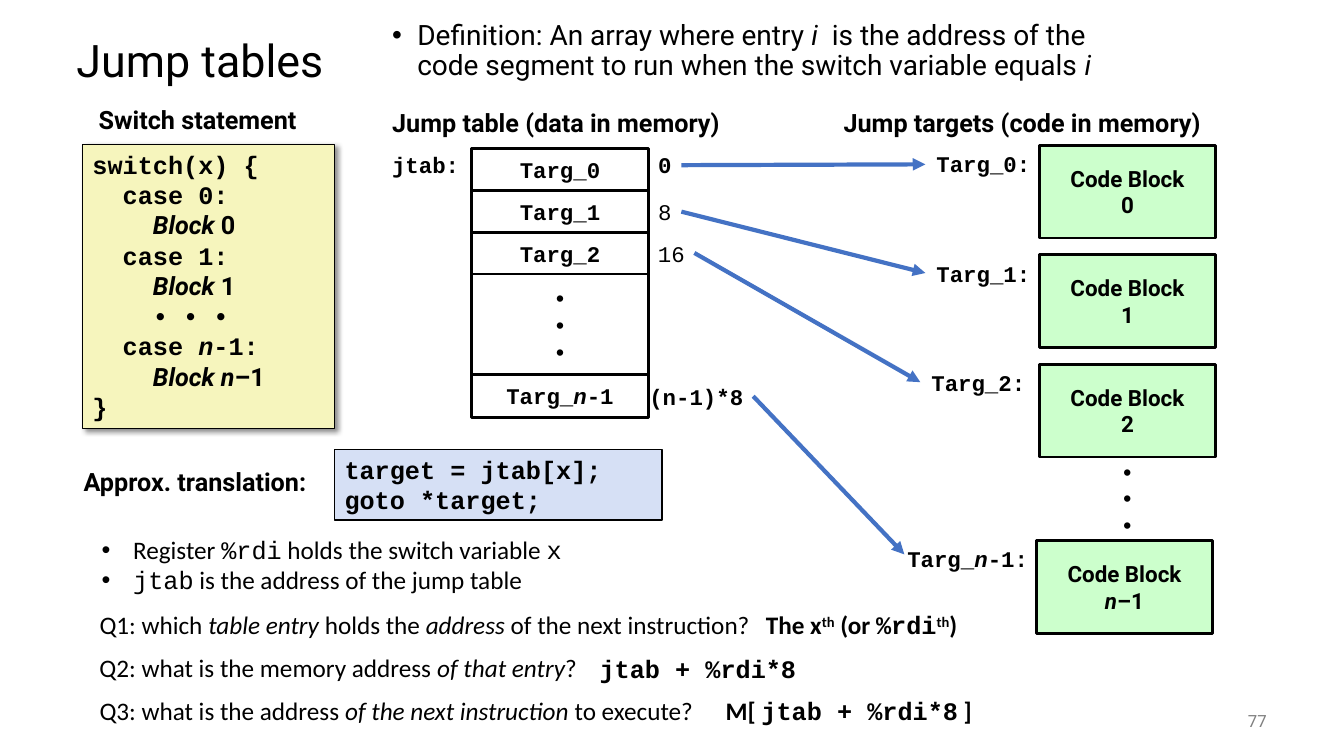
from dataclasses import dataclass
from functools import partial

from lxml import etree
from pptx import Presentation
from pptx.dml.color import RGBColor
from pptx.enum import shapes, text
from pptx.oxml import ns
from pptx.util import Pt


@dataclass(frozen=True)
class Theme:
    sans: str = "Roboto"
    body: str = "Calibri"
    code: str = "Courier New"
    ink: str = "000000"
    paper: str = "FFFFFF"
    grey: str = "808080"
    yellow: str = "F6F5BD"
    blue: str = "D6E0F5"
    green: str = "CCFFCC"
    arrow: str = "4472C4"
    title: int = 32
    lead: int = 20
    text: int = 18
    small: int = 16
    number: int = 12


@dataclass(frozen=True)
class Run:
    text: str
    font: str
    bold: bool = False
    italic: bool = False
    raised: bool = False


T = Theme()
sans = partial(Run, font=T.sans)
head = partial(Run, font=T.sans, bold=True)
body = partial(Run, font=T.body)
strong = partial(Run, font=T.body, bold=True)
mono = partial(Run, font=T.code)
code = partial(Run, font=T.code, bold=True)

LEFT, CENTER, RIGHT = (text.PP_ALIGN.LEFT, text.PP_ALIGN.CENTER, text.PP_ALIGN.RIGHT)
DOTS = [[code("•")]] * 3


def child(parent, tag, **attrs):
    return etree.SubElement(parent, ns.qn(tag), {k: str(v) for k, v in attrs.items()})


def write(sp, paras, size, align=LEFT, wrap=True, middle=False, color=T.ink,
          bullet=0, spacing=None):
    """Fill sp with paragraphs, each a list of Run; bullet is the hanging indent."""
    tf = sp.text_frame
    tf.word_wrap = wrap
    tf.vertical_anchor = text.MSO_ANCHOR.MIDDLE if middle else text.MSO_ANCHOR.TOP
    for i, runs in enumerate(paras):
        p = tf.paragraphs[0] if i == 0 else tf.add_paragraph()
        p.alignment = align
        if spacing:
            p.line_spacing = spacing
        if bullet:
            pPr = p._p.get_or_add_pPr()
            pPr.set("marL", str(Pt(bullet)))
            pPr.set("indent", str(-Pt(bullet)))
            child(pPr, "a:buFont", typeface="Arial")
            child(pPr, "a:buChar", char="•")
        for run in runs:
            r = p.add_run()
            r.text = run.text
            r.font.name, r.font.size = run.font, Pt(size)
            r.font.bold, r.font.italic = run.bold, run.italic
            r.font.color.rgb = RGBColor.from_string(color)
            if run.raised:
                r._r.get_or_add_rPr().set("baseline", "30000")


def text_box(s, x, y, w, h, paras, size, **style):
    sp = s.shapes.add_textbox(Pt(x), Pt(y), Pt(w), Pt(h))
    write(sp, paras, size, **style)


def label(s, x, y, w, runs, size=T.text, align=LEFT):
    """One unwrapped line whose box grows with its text."""
    sp = s.shapes.add_textbox(Pt(x), Pt(y), Pt(w), Pt(size * 1.6))
    write(sp, [runs], size, align=align, wrap=False)
    sp.text_frame.auto_size = text.MSO_AUTO_SIZE.SHAPE_TO_FIT_TEXT


def box(s, x, y, w, h, fill, line, paras, size, **style):
    sp = s.shapes.add_shape(shapes.MSO_SHAPE.RECTANGLE, Pt(x), Pt(y), Pt(w), Pt(h))
    sp.shadow.inherit = False
    sp.fill.solid()
    sp.fill.fore_color.rgb = RGBColor.from_string(fill)
    if line:
        sp.line.color.rgb = RGBColor.from_string(T.ink)
        sp.line.width = Pt(line)
    else:
        sp.line.fill.background()
    write(sp, paras, size, **style)
    return sp


def cast_shadow(sp):
    effects = sp._element.spPr.find(ns.qn("a:effectLst"))
    shadow = child(effects, "a:outerShdw", blurRad=Pt(4), dist=Pt(3),
                   dir=45 * 60000, algn="tl", rotWithShape=0)
    child(child(shadow, "a:srgbClr", val=T.ink), "a:alpha", val=43000)


def arrow(s, x1, y1, x2, y2):
    c = s.shapes.add_connector(shapes.MSO_CONNECTOR.STRAIGHT,
                               Pt(x1), Pt(y1), Pt(x2), Pt(y2))
    c.line.color.rgb = RGBColor.from_string(T.arrow)
    c.line.width = Pt(3)
    child(c.line._get_or_add_ln(), "a:tailEnd", type="triangle")
    child(c._element.spPr, "a:effectLst")


def switch_statement(s):
    def block(number, italic=False):
        name = "Block n" if italic else "Block"
        return [code("    "), head(name, italic=True), head(number)]

    sp = box(s, 59, 103, 180, 203, T.yellow, 1, [
        [code("switch(x) {")],
        [code("  case 0:")],
        block(" 0"),
        [code("  case 1:")],
        block(" 1"),
        [code("    •\u00a0•\u00a0•")],
        [code("  case "), code("n", italic=True), code("-1:")],
        block("–1", italic=True),
        [code("}")],
    ], T.text)
    cast_shadow(sp)
    label(s, 63.4, 71.3, 165, [head("Switch statement")])


def translation(s):
    box(s, 239, 321, 234, 50.5, T.blue, 1,
        [[code("target = jtab[x];")], [code("goto *target;")]], T.text)
    label(s, 52.6, 329.8, 187, [head("Approx. translation:")])
    text_box(s, 65.5, 378, 353, 51, [
        [body("Register "), mono("%rdi"), body(" holds the switch variable "), mono("x")],
        [mono("jtab"), body(" is the address of the jump table")],
    ], T.text, bullet=22.5)


def jump_table(s):
    left, top, width, row = 337, 105.8, 126, 30.2
    cell = partial(box, s, left, w=width, fill=T.paper, line=2, size=T.small,
                   align=CENTER, wrap=False, middle=True)
    last = [code("n", italic=True), code("-1")]
    entries = [(top + i * row, [code(str(i))]) for i in range(3)] + [(267.8, last)]
    for y, index in entries:
        cell(y=y, h=row, paras=[[code("Targ"), mono("_"), *index]])
    cell(y=195.8, h=72, paras=DOTS)
    label(s, 273, 104.4, 63.5, [code("jtab:")], T.small)
    label(s, 273, 73.4, 262, [head("Jump table (data in memory)")])
    label(s, 463, 104.4, 24.5, [code("0")], T.small)
    label(s, 463, 138.2, 24.5, [mono("8")], T.small)
    label(s, 462.2, 167.8, 34, [mono("16")], T.small, RIGHT)
    label(s, 455, 270, 83, [code("(n-1)*8")], T.small, RIGHT)


def jump_targets(s):
    width, height, step, top = 126, 66.4, 78.2, 103.7
    target = partial(box, s, w=width, size=T.small, align=CENTER,
                     wrap=False, middle=True)
    target(x=742.3, y=319.7, h=72, fill=T.paper, line=0, paras=DOTS)
    last = [head("n", italic=True), head("–1")]
    blocks = [(742.3, top + i * step, [head(str(i))]) for i in range(3)]
    for x, y, index in blocks + [(740.2, 386, last)]:
        target(x=x, y=y, h=height, fill=T.green, line=2,
               paras=[[head("Code Block")], index])
    for i, x in enumerate((661, 661, 657.4)):
        label(s, x, top + i * step, 82, [code(f"Targ_{i}:")], T.small, RIGHT)
    label(s, 639.4, 386, 102, [code("Targ_"), code("n", italic=True), code("-1:")],
          T.small, RIGHT)
    label(s, 595.5, 73.4, 285, [head("Jump targets (code in memory)")])


def questions(s):
    label(s, 64, 432, 486, [
        body("Q1: which "), body("table entry", italic=True), body(" holds the "),
        body("address", italic=True), body(" of the next instruction?")])
    label(s, 540, 432, 155.5, [
        strong("The x"), strong("th", raised=True), strong(" (or "), code("%rdi"),
        strong("th", raised=True), strong(")")])
    label(s, 64, 462.2, 360, [
        body("Q2: what is the memory address "), body("of that entry", italic=True),
        body("?")])
    label(s, 421.2, 463, 155.5, [code("jtab + %rdi*8")])
    label(s, 64, 493.2, 447, [
        body("Q3: what is the address"), body(" of the next instruction", italic=True),
        body(" to execute?")])
    label(s, 511.2, 493.2, 191.5, [strong("M[ "), code("jtab + %rdi*8"), strong(" ]")])


def main():
    prs = Presentation()
    prs.slide_width, prs.slide_height = Pt(960), Pt(540)
    s = prs.slides.add_slide(prs.slide_layouts[6])
    text_box(s, 47.5, 18, 220, 54, [[sans("Jump tables")]], T.title,
             middle=True, spacing=0.9)
    text_box(s, 273, 11.5, 535, 68.4, [[
        sans("Definition: An array where entry "), sans("i  ", italic=True),
        sans("is the address of the code segment to run when the switch variable equals "),
        sans("i", italic=True)]], T.lead, bullet=18, spacing=0.9)
    switch_statement(s)
    translation(s)
    jump_table(s)
    jump_targets(s)
    questions(s)
    for ends in ((486.7, 118, 661, 117.4), (486.7, 151.2, 661, 195),
                 (496, 180.7, 657.4, 273), (538, 283, 646, 396)):
        arrow(s, *ends)
    text_box(s, 840, 500.4, 72, 28.8, [[sans("77")]], T.number,
             align=RIGHT, middle=True, color=T.grey)
    prs.save("out.pptx")


if __name__ == "__main__":
    main()
